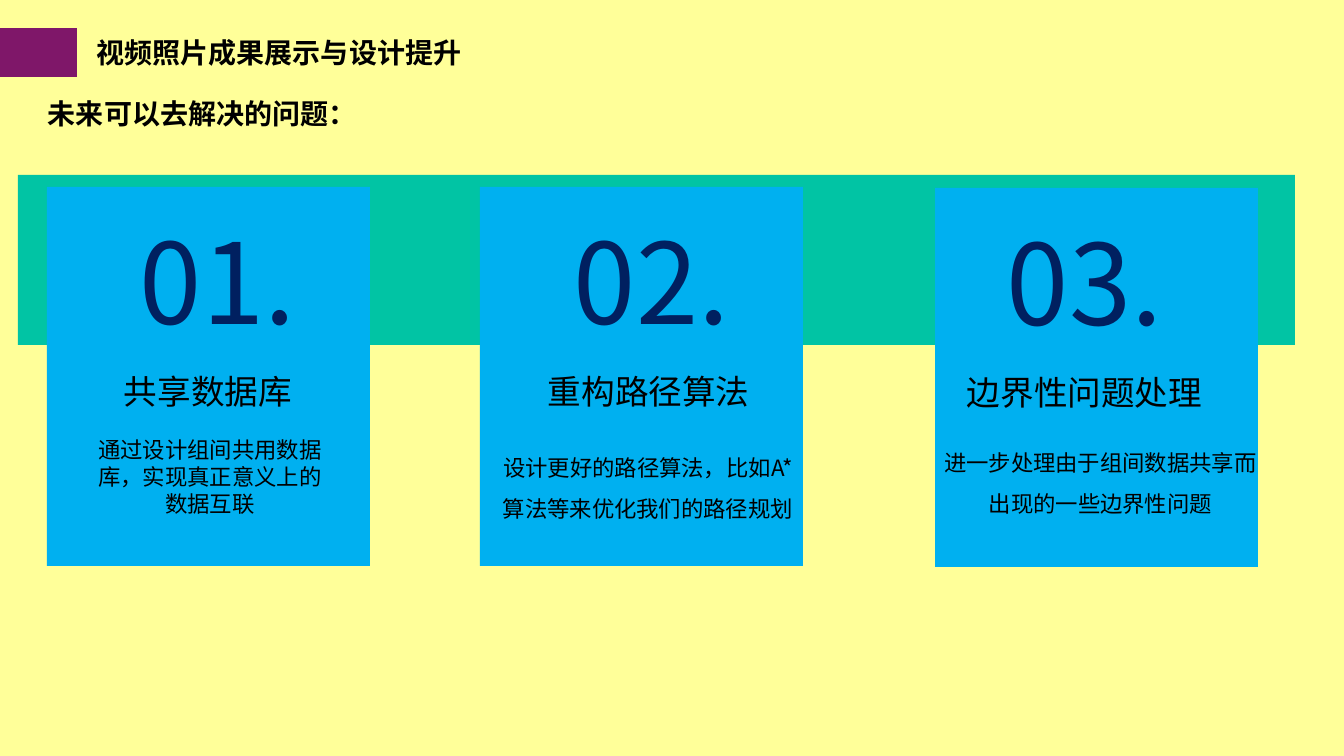
from lxml import etree
from pptx import Presentation
from pptx.dml.color import RGBColor
from pptx.enum.shapes import MSO_SHAPE
from pptx.enum.text import MSO_ANCHOR, PP_ALIGN
from pptx.oxml.ns import qn
from pptx.util import Pt

PX = 12192000 / 1344
COLORS = {
    "background": "FFFF99",
    "band": "01C4A4",
    "card": "00B0F0",
    "marker": "7F1769",
    "number": "002060",
    "text": "000000",
}
SANS_SC = "Noto Sans CJK SC"
SANS_JP = "Noto Sans CJK JP"
CARD_W, CARD_H = 323, 379
CARDS = [
    dict(box=(47, 187), number="01.", number_x=86,
         heading="共享数据库", heading_box=(70, 228),
         body="通过设计组间共用数据库，实现真正意义上的数据互联",
         body_box=(38, 245, 250), spacing=1.0),
    dict(box=(480, 187), number="02.", number_x=87,
         heading="重构路径算法", heading_box=(61, 228),
         body="设计更好的路径算法，比如A*算法等来优化我们的路径规划",
         body_box=(5, 250, 326), spacing=1.5),
    dict(box=(935, 188), number="03.", number_x=65,
         heading="边界性问题处理", heading_box=(25, 250),
         body="进一步处理由于组间数据共享而出现的一些边界性问题",
         body_box=(-9, 244, 349), spacing=1.5),
]


def px(n):
    return round(n * PX)


def rgb(name):
    return RGBColor.from_string(COLORS[name])


def add_rect(slide, x, y, w, h, color):
    sp = slide.shapes.add_shape(MSO_SHAPE.RECTANGLE, px(x), px(y), px(w), px(h))
    sp.shadow.inherit = False
    sp.fill.solid()
    sp.fill.fore_color.rgb = rgb(color)
    sp.line.fill.background()


def add_text(slide, text, x, y, w, h, size, font=SANS_SC, color="text", bold=False,
             align=PP_ALIGN.LEFT, anchor=MSO_ANCHOR.TOP, spacing=1.0,
             inset=(7, 4), wrap=True):
    tf = slide.shapes.add_textbox(px(x), px(y), px(w), px(h)).text_frame
    tf.word_wrap = wrap
    tf.vertical_anchor = anchor
    tf.margin_left = tf.margin_right = px(inset[0])
    tf.margin_top = tf.margin_bottom = px(inset[1])
    p = tf.paragraphs[0]
    p.alignment = align
    p.line_spacing = spacing
    r = p.add_run()
    r.text = text
    r.font.size = Pt(size)
    r.font.bold = bold
    r.font.color.rgb = rgb(color)
    r.font.name = font
    etree.SubElement(r.font._element, qn("a:ea"), typeface=font)


def add_header(slide, x, y):
    title = dict(size=20, bold=True, inset=(10, 5))
    add_text(slide, "视频照片成果展示与设计提升", x + 85, y + 2, 388, 44,
             align=PP_ALIGN.CENTER, wrap=False, **title)
    add_rect(slide, x, y, 77, 49, "marker")
    add_text(slide, "未来可以去解决的问题：", x + 38, y + 63, 1193, 78, **title)


def add_card(slide, x, y, card):
    add_rect(slide, x, y, CARD_W, CARD_H, "card")
    label = dict(font=SANS_JP, anchor=MSO_ANCHOR.MIDDLE)
    heading_x, heading_w = card["heading_box"]
    add_text(slide, card["heading"], x + heading_x, y + 186, heading_w, 36,
             size=24, **label)
    add_text(slide, card["number"], x + card["number_x"], y + 32, 170, 122,
             size=80, color="number", **label)
    body_x, body_y, body_w = card["body_box"]
    add_text(slide, card["body"], x + body_x, y + body_y, body_w, 157,
             size=16, align=PP_ALIGN.CENTER, spacing=card["spacing"])


def main():
    prs = Presentation()
    prs.slide_width, prs.slide_height = px(1344), px(756)
    slide = prs.slides.add_slide(prs.slide_layouts[6])
    slide.background.fill.solid()
    slide.background.fill.fore_color.rgb = rgb("background")
    add_rect(slide, 18, 175, 1277, 170, "band")
    add_header(slide, 0, 28)
    for card in CARDS:
        add_card(slide, *card["box"], card)
    prs.save("out.pptx")


if __name__ == "__main__":
    main()
